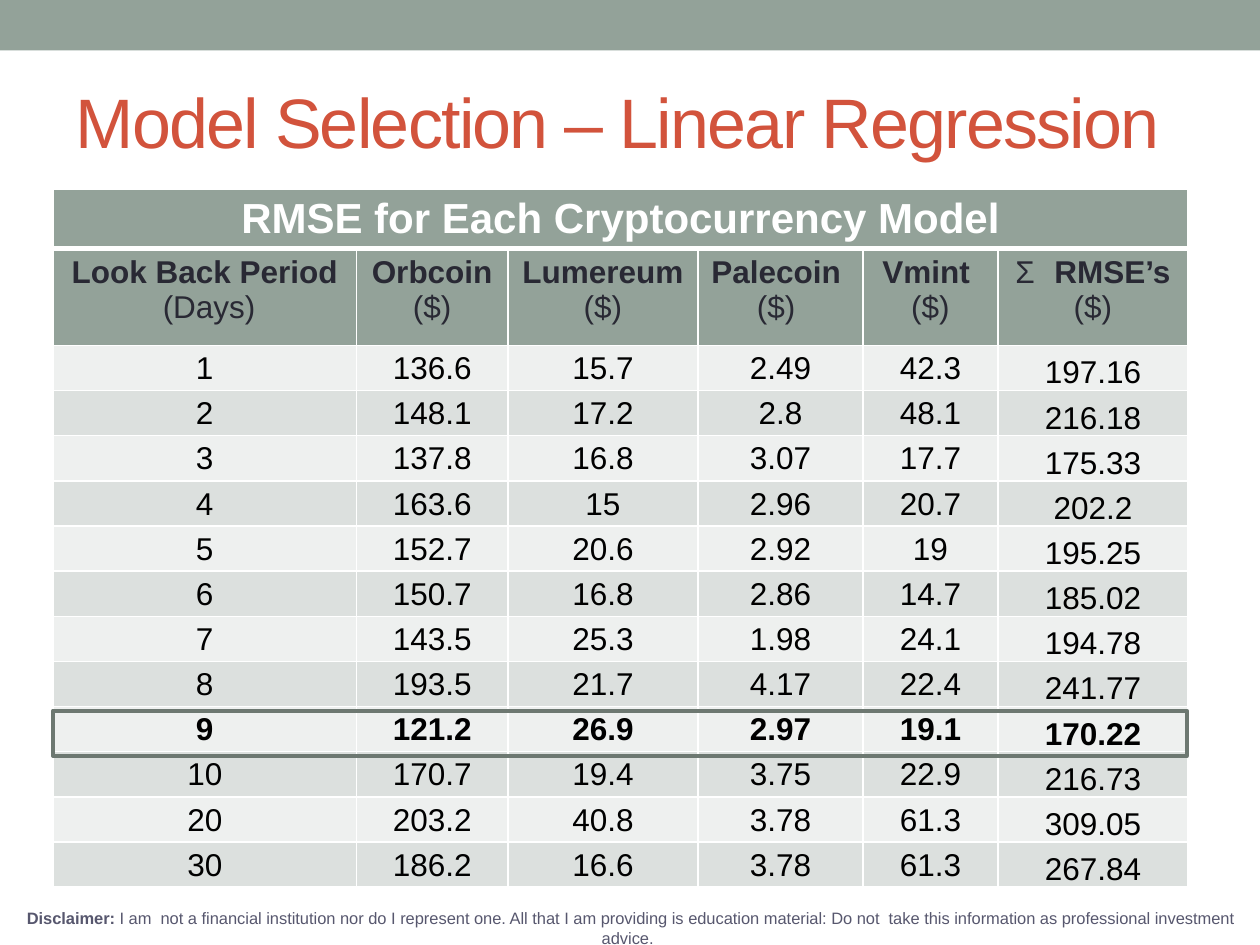
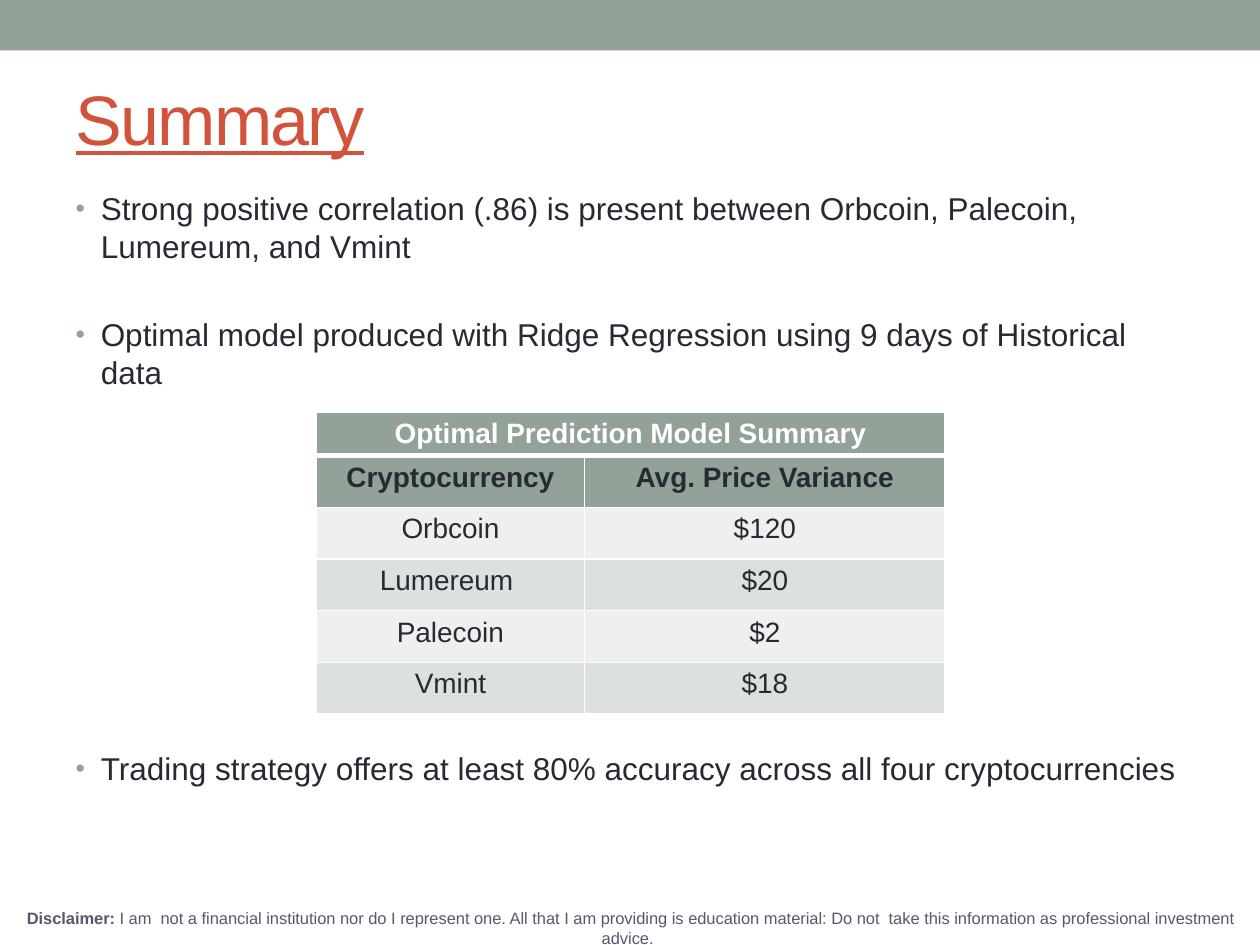
import dataclasses

import lxml.etree
import pptx
import pptx.dml.color
import pptx.enum.shapes
import pptx.enum.text
import pptx.oxml.ns
import pptx.util

Inches = pptx.util.Inches
Pt = pptx.util.Pt
ALIGN = pptx.enum.text.PP_ALIGN
ANCHOR = pptx.enum.text.MSO_ANCHOR


@dataclasses.dataclass(frozen=True)
class Theme:
    font: str = "Arial"
    sage: str = "93A299"
    rust: str = "D2533C"
    ink: str = "292934"
    black: str = "000000"
    white: str = "FFFFFF"
    outline: str = "6D7871"
    footer: str = "57576E"
    bands: tuple = ("EEF0EF", "DCE0DE")
    title_size: float = 40
    caption_size: float = 24
    body_size: float = 18
    small_table_size: float = 16
    footer_size: float = 9.4
    line_spacing: float = 1.0


THEME = Theme()

DISCLAIMER = (
    "I am  not a financial institution nor do I represent one. All that I am "
    "providing is education material: Do not  take this information as "
    "professional investment advice. "
)

RMSE_HEADERS = [
    ("Look Back Period", " (Days)"),
    ("Orbcoin ", "($)"),
    ("Lumereum ", "($)"),
    ("Palecoin ", "($) "),
    ("Vmint ", "($)"),
    ("RMSE’s", "($)"),
]
RMSE_ROWS = [
    ("1", "136.6", "15.7", "2.49", "42.3", "197.16"),
    ("2", "148.1", "17.2", "2.8", "48.1", "216.18"),
    ("3", "137.8", "16.8", "3.07", "17.7", "175.33"),
    ("4", "163.6", "15", "2.96", "20.7", "202.2"),
    ("5", "152.7", "20.6", "2.92", "19", "195.25"),
    ("6", "150.7", "16.8", "2.86", "14.7", "185.02"),
    ("7", "143.5", "25.3", "1.98", "24.1", "194.78"),
    ("8", "193.5", "21.7", "4.17", "22.4", "241.77"),
    ("9", "121.2", "26.9", "2.97", "19.1", "170.22"),
    ("10", "170.7", "19.4", "3.75", "22.9", "216.73"),
    ("20", "203.2", "40.8", "3.78", "61.3", "309.05"),
    ("30", "186.2", "16.6", "3.78", "61.3", "267.84"),
]
BEST_PERIOD = "9"

VARIANCE_HEADERS = ("Cryptocurrency", "Avg. Price Variance")
VARIANCE_ROWS = [
    ("Orbcoin", "$120"),
    ("Lumereum ", "$20"),
    ("Palecoin", "$2"),
    ("Vmint", "$18"),
]

# Each point with the space before it, in points
SUMMARY_POINTS = [
    ("Strong positive correlation (.86) is present between Orbcoin, "
     "Palecoin, Lumereum, and Vmint", 0),
    ("Optimal model produced with Ridge Regression using 9 days of "
     "Historical data", 29),
    ("Trading strategy offers at least 80% accuracy across all four "
     "cryptocurrencies", 204.5),
]


# Formatting helpers
def set_values(target, values):
    for name, value in values.items():
        setattr(target, name, value)


def rgb(color):
    return pptx.dml.color.RGBColor.from_string(color)


def place(shape, left, top, width, height):
    box = {"left": left, "top": top, "width": width, "height": height}
    set_values(shape, {name: Inches(length) for name, length in box.items()})


def add_run(paragraph, text, size, color, **values):
    run = paragraph.add_run()
    run.text = text
    set_values(run.font, {"name": THEME.font, "size": Pt(size), **values})
    run.font.color.rgb = rgb(color)
    return run


def add_element(parent, tag, **attributes):
    element = lxml.etree.SubElement(parent, pptx.oxml.ns.qn(tag))
    for name, value in attributes.items():
        element.set(name, str(value))
    return element


def set_bullet(paragraph, symbol, indent, color=None, percent=None):
    properties = paragraph._p.get_or_add_pPr()
    properties.set("marL", str(Inches(indent)))
    properties.set("indent", str(-Inches(indent)))
    if color:
        add_element(add_element(properties, "a:buClr"), "a:srgbClr", val=color)
    if percent:
        add_element(properties, "a:buSzPct", val=percent * 1000)
    add_element(properties, "a:buFont", typeface=THEME.font)
    add_element(properties, "a:buChar", char=symbol)


# Parts shared by the slides
def add_rectangle(slide, box, fill=None, line=None, line_width=0):
    shape = slide.shapes.add_shape(
        pptx.enum.shapes.MSO_SHAPE.RECTANGLE, *map(Inches, box))
    shape.shadow.inherit = False
    if fill:
        shape.fill.solid()
        shape.fill.fore_color.rgb = rgb(fill)
    else:
        shape.fill.background()
    if line:
        shape.line.color.rgb = rgb(line)
        shape.line.width = Pt(line_width)
    else:
        shape.line.fill.background()


def add_title(slide, text, top, underline=False):
    title = slide.shapes.title
    place(title, 0.5, top, 9, 1.08)
    set_values(title.text_frame, {
        "vertical_anchor": ANCHOR.MIDDLE,
        "auto_size": pptx.enum.text.MSO_AUTO_SIZE.NONE,
        "word_wrap": True,
    })
    paragraph = title.text_frame.paragraphs[0]
    paragraph.alignment = ALIGN.LEFT
    run = add_run(paragraph, text, THEME.title_size, THEME.rust,
                  underline=underline)
    run.font._element.set("spc", "-100")


def add_disclaimer(slide):
    box = slide.shapes.add_textbox(*map(Inches, (0, 7.16, 10, 0.34)))
    box.text_frame.word_wrap = True
    paragraph = box.text_frame.paragraphs[0]
    set_values(paragraph, {"alignment": ALIGN.CENTER,
                           "line_spacing": THEME.line_spacing})
    for text, bold in (("Disclaimer: ", True), (DISCLAIMER, False)):
        add_run(paragraph, text, THEME.footer_size, THEME.footer, bold=bold)


def add_framed_slide(presentation, layout, title, title_top, underline=False):
    slide = presentation.slides.add_slide(presentation.slide_layouts[layout])
    add_rectangle(slide, (0, 0, 10, 0.4), fill=THEME.sage)
    add_title(slide, title, title_top, underline)
    return slide


# Tables
def style_cell(cell, fill, bottom_width=1):
    cell.fill.solid()
    cell.fill.fore_color.rgb = rgb(fill)
    properties = cell._tc.get_or_add_tcPr()
    for position, side in enumerate("LRTB"):
        width = bottom_width if side == "B" else 1
        border = add_element(properties, f"a:ln{side}", w=Pt(width))
        color = add_element(border, "a:solidFill")
        add_element(color, "a:srgbClr", val=THEME.white)
        properties.insert(position, border)


def write_cell(cell, lines, size, color):
    """Write centred lines, each a pair of text and boldness."""
    for index, (text, bold) in enumerate(lines):
        frame = cell.text_frame
        paragraph = frame.add_paragraph() if index else frame.paragraphs[0]
        paragraph.alignment = ALIGN.CENTER
        add_run(paragraph, text, size, color, bold=bold)


def add_captioned_table(slide, left, top, widths, heights, caption, size):
    table = slide.shapes.add_table(
        len(heights), len(widths), Inches(left), Inches(top),
        Inches(sum(widths)), Inches(sum(heights))).table
    set_values(table, {"first_row": False, "horz_banding": False})
    for column, width in zip(table.columns, widths):
        column.width = Inches(width)
    for row, height in zip(table.rows, heights):
        row.height = Inches(height)
    for index, row in enumerate(table.rows):
        fill = THEME.sage if index < 2 else THEME.bands[index % 2]
        for cell in row.cells:
            style_cell(cell, fill, bottom_width=1 if index else 3)
    table.cell(0, 0).merge(table.cell(0, len(widths) - 1))
    write_cell(table.cell(0, 0), [(caption, True)], size, THEME.white)
    return table


def add_rmse_table(slide):
    left, top = 0.42, 1.5
    widths = [2.41, 1.2, 1.51, 1.31, 1.07, 1.51]
    row_height = 4.3 / len(RMSE_ROWS)
    heights = [0.47, 0.77] + [row_height] * len(RMSE_ROWS)
    table = add_captioned_table(
        slide, left, top, widths, heights,
        "RMSE for Each Cryptocurrency Model", THEME.caption_size)

    for column, (name, unit) in enumerate(RMSE_HEADERS):
        write_cell(table.cell(1, column), [(name, True), (unit, False)],
                   THEME.body_size, THEME.ink)
    total_column = len(widths) - 1
    total_header = table.cell(1, total_column).text_frame.paragraphs[0]
    set_bullet(total_header, "Σ", 0.31)

    margin = Inches(0.01)
    for row, values in enumerate(RMSE_ROWS, start=2):
        for column, value in enumerate(values):
            cell = table.cell(row, column)
            is_total = column == total_column
            set_values(cell, {
                "margin_left": margin, "margin_right": margin,
                "margin_top": margin, "margin_bottom": 0,
                "vertical_anchor": ANCHOR.BOTTOM if is_total else ANCHOR.MIDDLE,
            })
            write_cell(cell, [(value, values[0] == BEST_PERIOD)],
                       THEME.body_size, THEME.black)

    # Frame around the best look back period
    add_rectangle(slide, (left, 5.64, 9, 0.36),
                  line=THEME.outline, line_width=2.25)


def add_variance_table(slide):
    heights = [0.34] + [0.41] * (len(VARIANCE_ROWS) + 1)
    table = add_captioned_table(
        slide, 2.51, 3.27, [2.13, 2.86], heights,
        "Optimal Prediction Model Summary", THEME.small_table_size)
    for row, values in enumerate([VARIANCE_HEADERS] + VARIANCE_ROWS, start=1):
        for column, value in enumerate(values):
            write_cell(table.cell(row, column), [(value, row == 1)],
                       THEME.small_table_size, THEME.ink)


# Bulleted list
def add_summary_points(slide):
    body = slide.placeholders[1]
    place(body, 0.5, 1.45, 9, 5.64)
    frame = body.text_frame
    frame.auto_size = pptx.enum.text.MSO_AUTO_SIZE.NONE
    for index, (text, space_before) in enumerate(SUMMARY_POINTS):
        paragraph = frame.add_paragraph() if index else frame.paragraphs[0]
        set_values(paragraph, {"space_before": Pt(space_before),
                               "line_spacing": THEME.line_spacing})
        set_bullet(paragraph, "•", 0.2, THEME.sage, 85)
        add_run(paragraph, text, THEME.body_size, THEME.ink)


def main():
    presentation = pptx.Presentation()
    set_values(presentation, {"slide_width": Inches(10),
                              "slide_height": Inches(7.5)})

    # Slide 1: errors by look back period
    slide = add_framed_slide(presentation, 5,
                             "Model Selection – Linear Regression", 0.42)
    add_rmse_table(slide)
    add_disclaimer(slide)

    # Slide 2: summary
    slide = add_framed_slide(presentation, 1, "Summary", 0.39, underline=True)
    add_summary_points(slide)
    add_variance_table(slide)
    add_disclaimer(slide)

    presentation.save("out.pptx")


if __name__ == "__main__":
    main()
